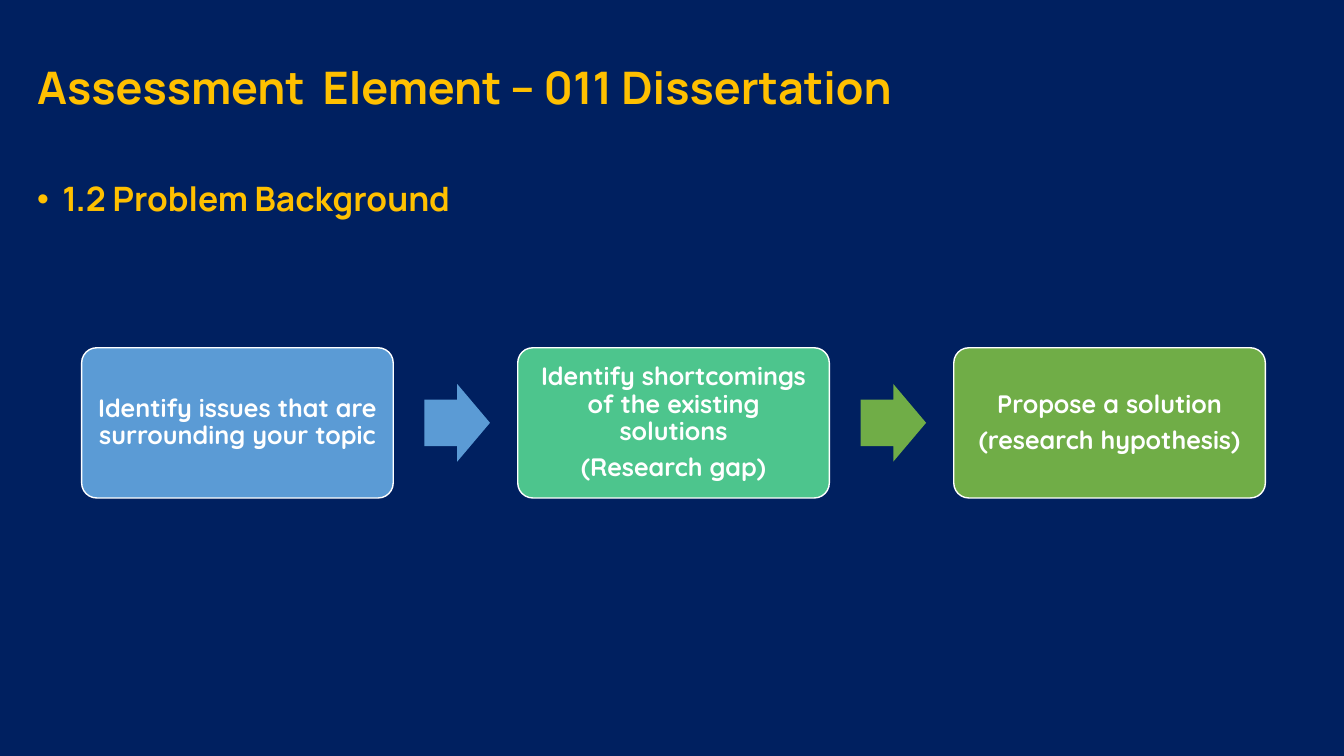
"""Build the dissertation slide on the problem background, a three-step flow."""
from lxml import etree
from pptx import Presentation
from pptx import util as u
from pptx.dml.color import RGBColor
from pptx.enum import shapes, text
from pptx.oxml.ns import qn

NAVY = RGBColor(0x00, 0x20, 0x60)
GOLD = RGBColor(0xFF, 0xC0, 0x00)
WHITE = RGBColor(0xFF, 0xFF, 0xFF)
BLUE = RGBColor(0x5B, 0x9B, 0xD5)
TEAL = RGBColor(0x4D, 0xC5, 0x8D)
GREEN = RGBColor(0x70, 0xAD, 0x47)

MARGIN = 0.27
FIRST_STEP, STEP_PITCH = 0.81, 4.325
STEP_WIDTH, STEP_HEIGHT = 3.09, 1.49
ARROW_OFFSET, ARROW_WIDTH, ARROW_HEIGHT = 3.4, 0.65, 0.77
MIDDLE = 4.195


def add_span(para, words, font, size, color):
    para.line_spacing = 0.9
    span = para.add_run()
    span.text = words
    span.font.name = font
    span.font.size = u.Pt(size)
    span.font.bold = True
    span.font.color.rgb = color


def add_block(page, kind, left, width, height, color):
    block = page.shapes.add_shape(
        kind, u.Inches(left), u.Inches(MIDDLE - height / 2), u.Inches(width), u.Inches(height))
    block.shadow.inherit = False
    block.fill.solid()
    block.fill.fore_color.rgb = color
    return block


deck = Presentation()
deck.slide_width, deck.slide_height = u.Inches(13.33), u.Inches(7.5)
page = deck.slides.add_slide(deck.slide_layouts[6])
page.background.fill.solid()
page.background.fill.fore_color.rgb = NAVY

title = page.shapes.add_textbox(u.Inches(MARGIN), u.Inches(0.29), u.Inches(10.77), u.Inches(1.2))
title.text_frame.word_wrap = True
title.text_frame.vertical_anchor = text.MSO_ANCHOR.MIDDLE
add_span(title.text_frame.paragraphs[0], "Assessment  Element – 011 Dissertation", "Manrope", 32, GOLD)

body = page.shapes.add_textbox(u.Inches(MARGIN), u.Inches(1.76), u.Inches(12.81), u.Inches(5.34))
body.text_frame.word_wrap = True
topic = body.text_frame.paragraphs[0]
indent = u.Inches(0.25)
properties = topic._p.get_or_add_pPr()
properties.set("marL", str(indent))
properties.set("indent", str(-indent))
etree.SubElement(properties, qn("a:buFont"), typeface="Arial")
etree.SubElement(properties, qn("a:buChar"), char="•")
add_span(topic, "1.2 Problem Background", "Manrope", 24, GOLD)

steps = [
    (["Identify issues that are surrounding your topic"], BLUE, BLUE),
    (["Identify shortcomings of the existing solutions", "(Research gap)"], TEAL, GREEN),
    (["Propose a solution", "(research hypothesis)"], GREEN, None),
]
for column, (lines, step_color, arrow_color) in enumerate(steps):
    left = FIRST_STEP + column * STEP_PITCH
    box = add_block(page, shapes.MSO_SHAPE.ROUNDED_RECTANGLE, left, STEP_WIDTH, STEP_HEIGHT, step_color)
    box.adjustments[0] = 0.1
    box.line.color.rgb = WHITE
    box.line.width = u.Pt(1)
    frame = box.text_frame
    frame.word_wrap = True
    frame.vertical_anchor = text.MSO_ANCHOR.MIDDLE
    frame.margin_left = frame.margin_right = u.Inches(0.08)
    for number, line in enumerate(lines):
        para = frame.add_paragraph() if number else frame.paragraphs[0]
        para.alignment = text.PP_ALIGN.CENTER
        para.space_after = u.Pt(6.3)
        add_span(para, line, "Quicksand", 18, WHITE)
    if arrow_color:
        arrow = add_block(page, shapes.MSO_SHAPE.RIGHT_ARROW, left + ARROW_OFFSET,
                          ARROW_WIDTH, ARROW_HEIGHT, arrow_color)
        arrow.adjustments[0], arrow.adjustments[1] = 0.6, 0.5
        arrow.line.fill.background()

deck.save("out.pptx")
